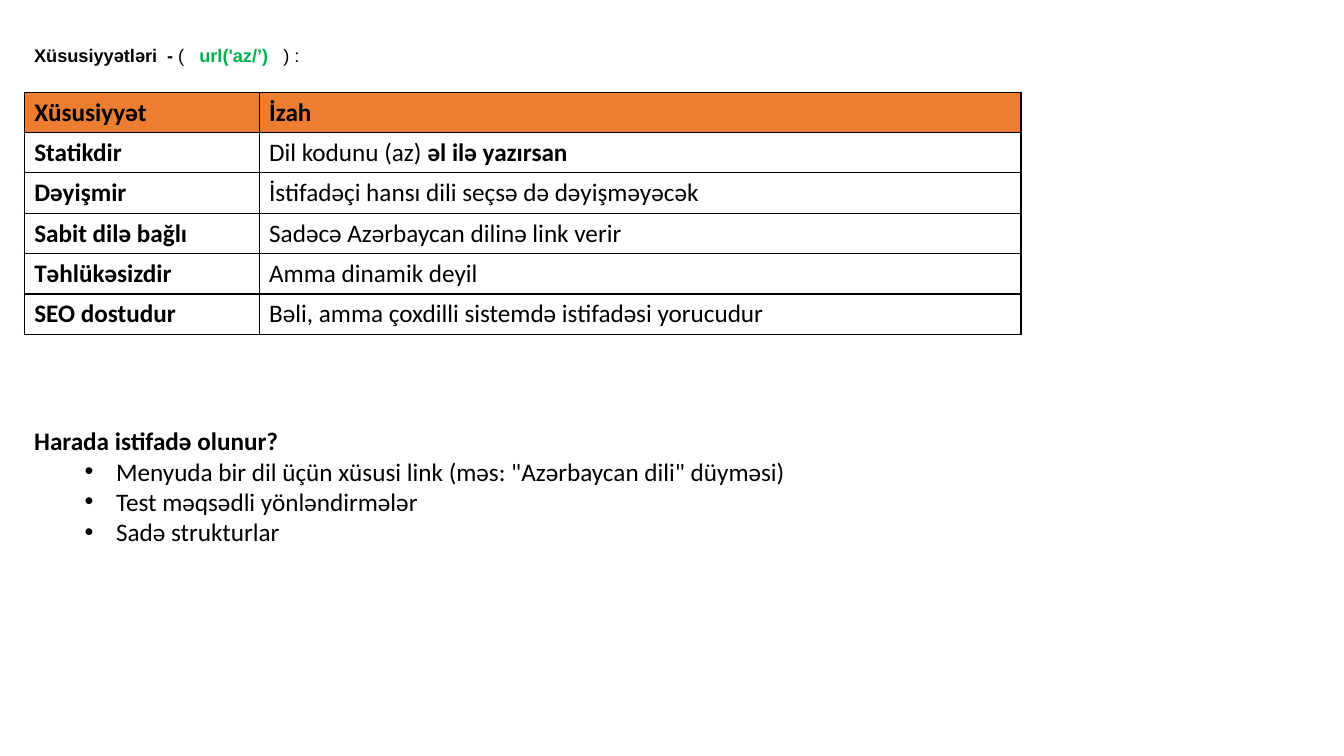
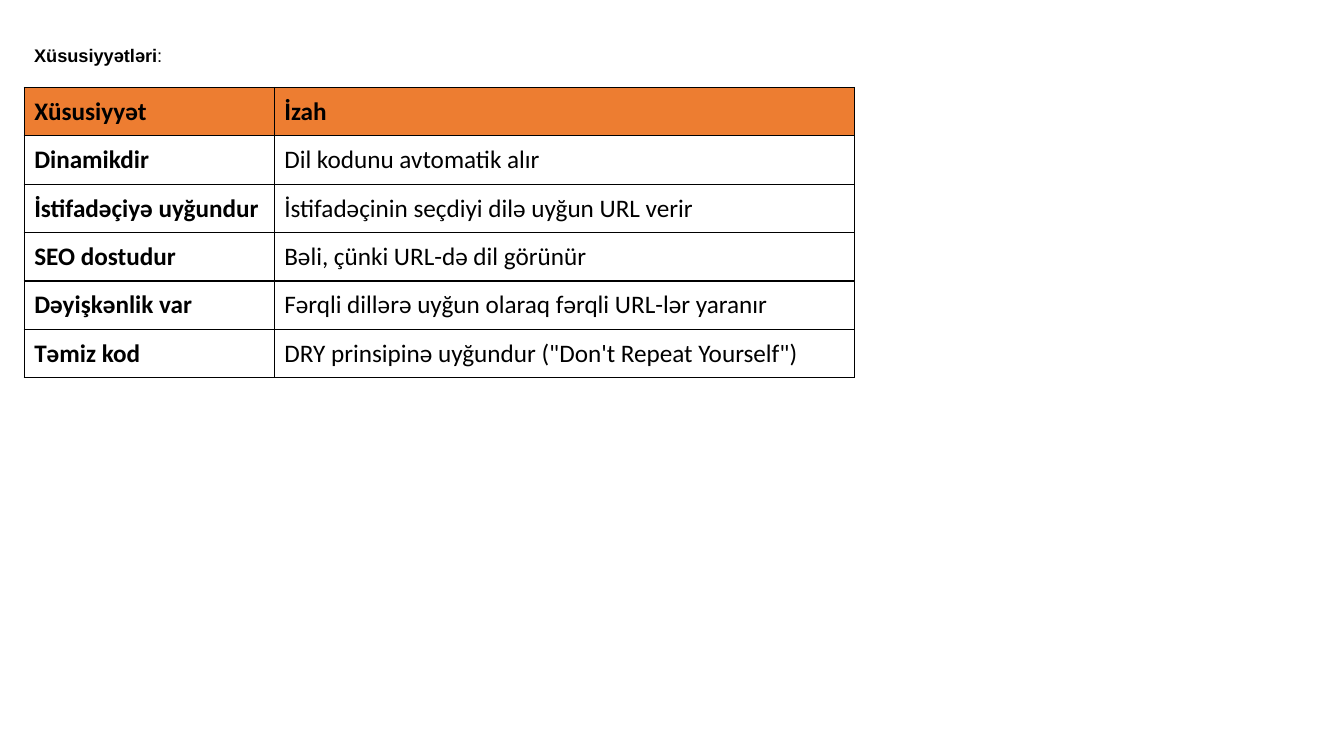
"""Build two slides comparing a static and a dynamic URL in Azerbaijani."""
from lxml import etree
from pptx import Presentation
from pptx.dml.color import RGBColor
from pptx.enum.text import MSO_ANCHOR
from pptx.oxml.ns import qn
from pptx.util import Pt

MIDDLE = MSO_ANCHOR.MIDDLE
BLACK = RGBColor(0x00, 0x00, 0x00)
GREEN = RGBColor(0x00, 0xB0, 0x50)
ORANGE = RGBColor(0xED, 0x7D, 0x31)
LEFT, WIDTH = Pt(17.3), Pt(926)
HEADER = ("Xüsusiyyət", "İzah")

SLIDES = [
    {
        "title": [("Xüsusiyyətləri\t- ", True, BLACK), ("(\t", False, BLACK),
                  ("url('az/’)\t", True, GREEN), (") :", False, BLACK)],
        "tabs": (95, 118, 178),
        "top": 65.8, "row_height": 28.8, "columns": (167.8, 544.3),
        "rows": [
            ("Statikdir", "Dil kodunu (az) ", "əl ilə yazırsan"),
            ("Dəyişmir", "İstifadəçi hansı dili seçsə də dəyişməyəcək"),
            ("Sabit dilə bağlı", "Sadəcə Azərbaycan dilinə link verir"),
            ("Təhlükəsizdir", "Amma dinamik deyil"),
            ("SEO dostudur", "Bəli, amma çoxdilli sistemdə istifadəsi yorucudur"),
        ],
        "question": "Harada istifadə olunur?",
        "uses": [
            'Menyuda bir dil üçün xüsusi link (məs: "Azərbaycan dili" düyməsi)',
            "Test məqsədli yönləndirmələr",
            "Sadə strukturlar",
        ],
    },
    {
        "title": [("Xüsusiyyətləri", True, BLACK), (":", False, BLACK)],
        "tabs": (),
        "top": 62.4, "row_height": 34.6, "columns": (178.6, 414.7),
        "rows": [
            ("Dinamikdir", "Dil kodunu avtomatik alır"),
            ("İstifadəçiyə uyğundur", "İstifadəçinin seçdiyi dilə uyğun URL verir"),
            ("SEO dostudur", "Bəli, çünki URL-də dil görünür"),
            ("Dəyişkənlik var", "Fərqli dillərə uyğun olaraq fərqli URL-lər yaranır"),
            ("Təmiz kod", 'DRY prinsipinə uyğundur ("Don\'t Repeat Yourself")'),
        ],
        "question": None,
        "uses": [],
    },
]


def write(paragraph, text, size=18, font="Calibri", color=BLACK, bold=False):
    run = paragraph.add_run()
    run.text = text
    run.font.size = Pt(size)
    run.font.name = font
    run.font.color.rgb = color
    run.font.bold = bold


def add_border(cell):
    properties = cell._tc.get_or_add_tcPr()
    for side in ("a:lnL", "a:lnR", "a:lnT", "a:lnB"):
        line = etree.SubElement(properties, qn(side), w=str(Pt(1)))
        fill = etree.SubElement(line, qn("a:solidFill"))
        etree.SubElement(fill, qn("a:srgbClr"), val=str(BLACK))


presentation = Presentation()
presentation.slide_width, presentation.slide_height = Pt(960), Pt(540)

for content in SLIDES:
    slide = presentation.slides.add_slide(presentation.slide_layouts[6])

    title = slide.shapes.add_textbox(LEFT, Pt(20), WIDTH, Pt(28)).text_frame
    title.word_wrap = True
    paragraph = title.paragraphs[0]
    if content["tabs"]:
        tab_list = etree.SubElement(paragraph._p.get_or_add_pPr(), qn("a:tabLst"))
        for position in content["tabs"]:
            etree.SubElement(tab_list, qn("a:tab"), pos=str(Pt(position)), algn="l")
    paragraph.line_spacing = 1.5
    for text, bold, color in content["title"]:
        write(paragraph, text, size=13, font="Arial", color=color, bold=bold)

    rows = [HEADER] + content["rows"]
    columns = content["columns"]
    table = slide.shapes.add_table(
        len(rows), len(columns), LEFT, Pt(content["top"]),
        Pt(sum(columns)), Pt(content["row_height"] * len(rows))).table
    table.first_row = table.horz_banding = False
    for column, width in zip(table.columns, columns):
        column.width = Pt(width)
    for row_index, (name, *explanation) in enumerate(rows):
        table.rows[row_index].height = Pt(content["row_height"])
        is_header = row_index == 0
        for column_index, parts in enumerate(([name], explanation)):
            cell = table.cell(row_index, column_index)
            cell.vertical_anchor = MIDDLE
            add_border(cell)
            if is_header:
                cell.fill.solid()
                cell.fill.fore_color.rgb = ORANGE
            else:
                cell.fill.background()
            for part_index, part in enumerate(parts):
                write(cell.text_frame.paragraphs[0], part,
                      bold=is_header or column_index == 0 or part_index == 1)

    if content["question"]:
        usage = slide.shapes.add_textbox(LEFT, Pt(300.5), WIDTH, Pt(95)).text_frame
        usage.word_wrap = True
        write(usage.paragraphs[0], content["question"], bold=True)
        for use in content["uses"]:
            paragraph = usage.add_paragraph()
            paragraph.level = 1
            properties = paragraph._p.get_or_add_pPr()
            properties.set("marL", str(Pt(58.5)))
            properties.set("indent", str(Pt(-22.5)))
            etree.SubElement(properties, qn("a:buFont"), typeface="Arial")
            etree.SubElement(properties, qn("a:buChar"), char="•")
            write(paragraph, use)

presentation.save("out.pptx")
